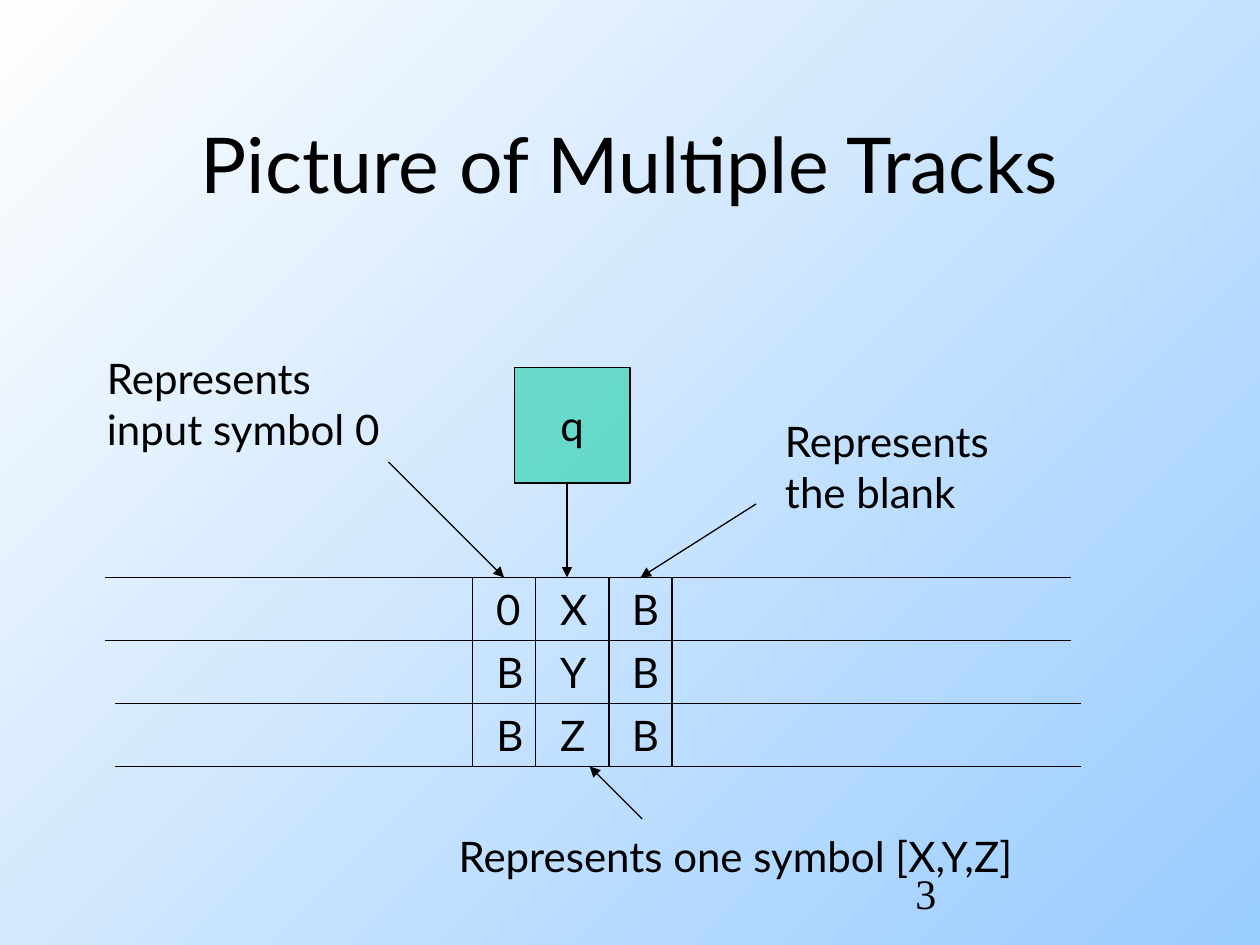
from lxml import etree
from pptx import Presentation
from pptx.dml.color import RGBColor
from pptx.enum.shapes import MSO_CONNECTOR, MSO_SHAPE
from pptx.enum.text import MSO_ANCHOR, PP_ALIGN
from pptx.oxml.ns import qn
from pptx.util import Pt

BLACK = "000000"


def color(hex_string):
    return RGBColor.from_string(hex_string)


def write(shape, text, size=24, font="Lato", align=PP_ALIGN.LEFT,
          anchor=MSO_ANCHOR.TOP, wrap=False):
    frame = shape.text_frame
    frame.text = text
    frame.word_wrap = wrap
    frame.vertical_anchor = anchor
    for para in frame.paragraphs:
        para.alignment = align
        para.font.size = Pt(size)
        para.font.name = font
        para.font.color.rgb = color(BLACK)


def add_text(shapes, box, text, **style):
    write(shapes.add_textbox(*map(Pt, box)), text, **style)


def add_line(shapes, start, end, arrow=False):
    line = shapes.add_connector(MSO_CONNECTOR.STRAIGHT, *map(Pt, start + end))
    line.line.color.rgb = color(BLACK)
    line.line.width = Pt(0.75)
    properties = line._element.spPr
    if arrow:
        outline = properties.find(qn("a:ln"))
        etree.SubElement(outline, qn("a:tailEnd"), type="triangle")
    etree.SubElement(properties, qn("a:effectLst"))


def paint_background(page):
    fill = page.background.fill
    fill.gradient()
    fill.gradient_angle = 135
    for stop, shade in zip(fill.gradient_stops, ("99CCFF", "FEFEFE")):
        stop.color.rgb = color(shade)


def add_state(page, box):
    """Control state with the head pointing down at the tape."""
    left, top, width, height = box
    state = page.shapes.add_shape(MSO_SHAPE.RECTANGLE, *map(Pt, box))
    state.shadow.inherit = False
    state.fill.solid()
    state.fill.fore_color.rgb = color("00CC99")
    tint = state._element.spPr.find(qn("a:solidFill"))[0]
    etree.SubElement(tint, qn("a:alpha"), val="50000")
    state.line.color.rgb = color(BLACK)
    state.line.width = Pt(0.75)
    write(state, "q", align=PP_ALIGN.CENTER, anchor=MSO_ANCHOR.MIDDLE)
    head_x, bottom = left + 30, top + height
    add_line(page.shapes, (head_x, bottom), (head_x, bottom + 54), arrow=True)


def add_tape(page, box, tracks):
    """Tape of equal tracks; the lower two rules sit slightly to the right."""
    left, top, width, height = box
    track_height = height / len(tracks)
    for index in range(len(tracks) + 1):
        start = left + (6 if index >= 2 else 0)
        y = top + index * track_height
        add_line(page.shapes, (start, y), (start + width, y))
    for offset in (210, 246, 288, 324):
        x = left + offset
        add_line(page.shapes, (x, top), (x, top + height))
    for row, symbols in enumerate(tracks):
        for offset, symbol in zip((216.5, 253, 294), symbols):
            cell_width = 29.5 if symbol == "B" else 28
            add_text(page.shapes, (left + offset, top + row * track_height,
                                   cell_width, track_height), symbol)


def add_note(page, box, text, start, end):
    """Label grouped with its arrow."""
    group = page.shapes.add_group_shape()
    add_text(group.shapes, box, text)
    add_line(group.shapes, start, end, arrow=True)


def main():
    deck = Presentation()
    deck.slide_width, deck.slide_height = Pt(720), Pt(540)
    page = deck.slides.add_slide(deck.slide_layouts[6])
    paint_background(page)

    # Title
    add_text(page.shapes, (54, 48, 612, 90), "Picture of Multiple Tracks",
             size=44, align=PP_ALIGN.CENTER, anchor=MSO_ANCHOR.MIDDLE, wrap=True)

    # Machine
    add_state(page, (294, 210, 66, 66))
    add_tape(page, (60, 330, 552, 108), ("0XB", "BYB", "BZB"))

    # Explanations
    add_note(page, (255, 471, 354, 36), "Represents one symbol [X,Y,Z]",
             (367, 468), (337, 438))
    add_note(page, (54, 198, 181.5, 65), "Represents\ninput symbol 0",
             (222, 264), (288, 330))
    add_note(page, (441.5, 234, 141, 65), "Represents\nthe blank",
             (432, 288), (366, 330))

    # Slide number
    add_text(page.shapes, (516, 492, 150, 36), "3",
             font="Times New Roman", wrap=True)
    deck.save("out.pptx")


if __name__ == "__main__":
    main()
